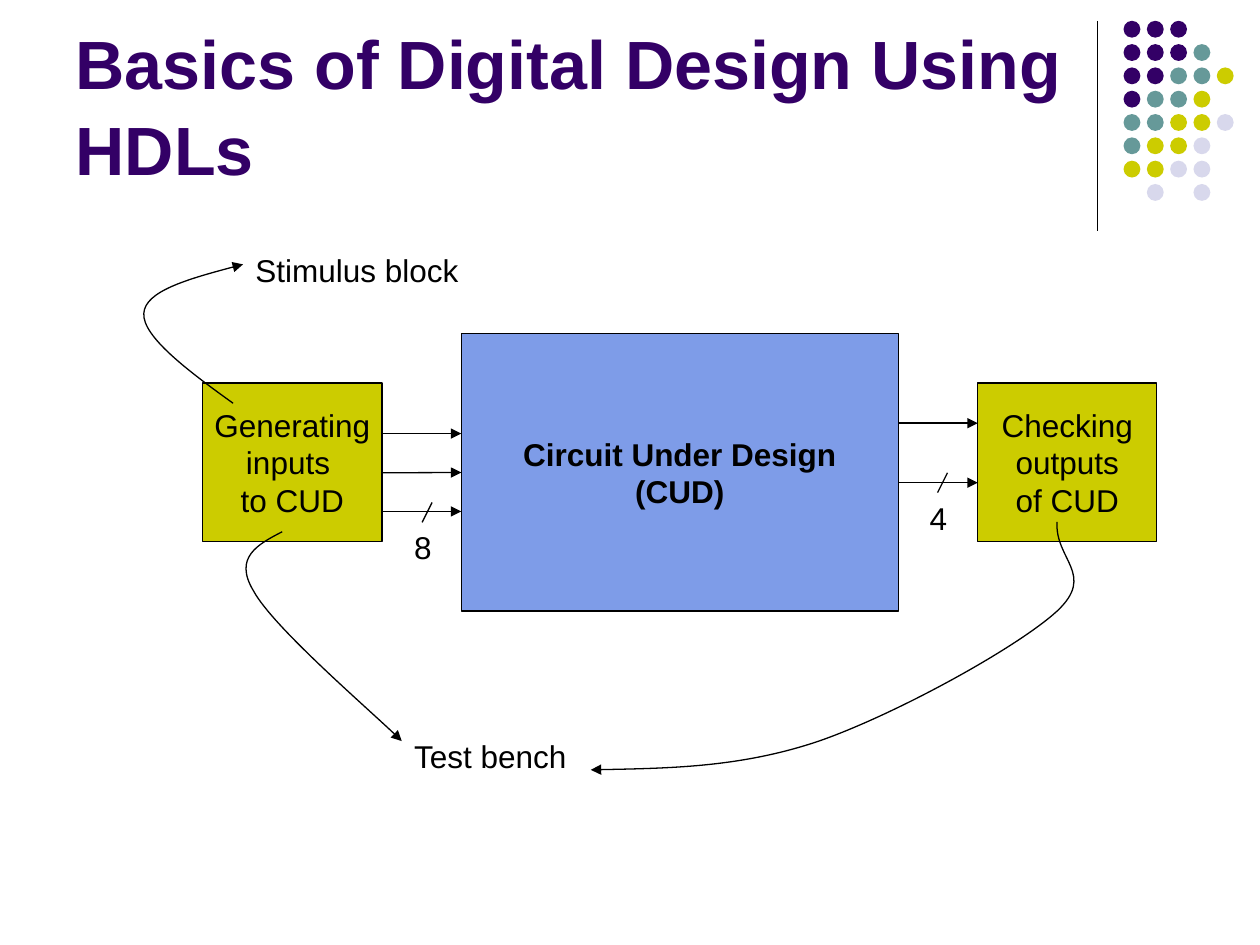
"""Build the slide on a circuit under design and its test bench."""
from dataclasses import dataclass

from lxml.etree import SubElement
from pptx import Presentation
from pptx.dml.color import RGBColor
from pptx.enum.shapes import MSO_CONNECTOR, MSO_SHAPE
from pptx.enum.text import MSO_ANCHOR, MSO_AUTO_SIZE, PP_ALIGN
from pptx.oxml.ns import qn
from pptx.shapes.autoshape import Shape
from pptx.shapes.connector import Connector
from pptx.slide import Slide
from pptx.text.text import TextFrame
from pptx.util import Cm, Pt


@dataclass(frozen=True)
class Theme:
    font: str = "Arial"
    title_size: float = 39
    body_size: float = 18
    line_width: float = 0.75
    black: str = "000000"
    purple: str = "330066"
    teal: str = "669999"
    olive: str = "CCCC00"
    lavender: str = "D8D8EC"
    blue: str = "7E9CE8"


@dataclass(frozen=True)
class Block:
    text: str
    left: float
    top: float
    width: float
    height: float
    fill: str
    bold: bool = False


@dataclass(frozen=True)
class Label:
    text: str
    left: float
    top: float
    width: float


@dataclass(frozen=True)
class Signals:
    start: float
    end: float
    heights: tuple[float, ...]


Point = tuple[float, float]
THEME = Theme()

STIMULUS = Block("Generating\ninputs \nto CUD", 4.09, 7.72, 3.61, 3.2, THEME.olive)
CIRCUIT = Block("Circuit Under Design\n(CUD)", 9.3, 6.73, 8.81, 5.59, THEME.blue, True)
CHECKER = Block("Checking\noutputs\nof CUD", 19.71, 7.72, 3.61, 3.2, THEME.olive)
INPUTS = Signals(7.7, 9.3, (8.74, 9.53, 10.31))
OUTPUTS = Signals(18.11, 19.71, (8.53, 9.73))
BUS_SLASHES: tuple[Point, ...] = ((8.71, 10.13), (19.1, 9.53))
LABELS = (
    Label("8", 8.1, 10.52, 0.79),
    Label("4", 18.49, 9.93, 0.79),
    Label("Test bench", 8.1, 14.73, 3.81),
    Label("Stimulus block", 4.9, 4.93, 4.8),
)
CURVES: tuple[tuple[Point, ...], ...] = (
    ((5.69, 10.72), (5.21, 10.97), (4.7, 11.23), (5.11, 11.91),
     (5.49, 12.62), (7.59, 14.43), (8.1, 14.94)),
    ((21.31, 10.52), (21.26, 11.28), (22.1, 11.58), (21.31, 12.32),
     (20.5, 13.06), (18.06, 14.4), (16.51, 14.94),
     (14.94, 15.47), (13.39, 15.49), (11.91, 15.52)),
    ((4.7, 8.13), (3.78, 7.47), (2.87, 6.78), (2.9, 6.32),
     (2.92, 5.87), (3.91, 5.59), (4.9, 5.33)),
)
DOT_ROWS = ("PPP", "PPPT", "PPTTO", "PTTO", "TTOOL", "TOOL", "OOLL", " L L")
DOT_COLORS = {"P": THEME.purple, "T": THEME.teal, "O": THEME.olive, "L": THEME.lavender}
DOT_LEFT, DOT_TOP, DOT_SIZE, DOT_PITCH = 22.65, 0.42, 0.34, 0.47


def write_text(frame: TextFrame, text: str, *, size: float = THEME.body_size,
               color: str = THEME.black, bold: bool = False,
               align: PP_ALIGN = PP_ALIGN.LEFT, anchor: MSO_ANCHOR = MSO_ANCHOR.TOP,
               wrap: bool = True, spacing: float = 1.0) -> None:
    """Fill a text frame with one formatted paragraph."""
    frame.word_wrap = wrap
    frame.auto_size = MSO_AUTO_SIZE.NONE
    frame.vertical_anchor = anchor
    paragraph = frame.paragraphs[0]
    paragraph.text = text
    paragraph.alignment = align
    paragraph.line_spacing = spacing
    for run in paragraph.runs:
        run.font.name = THEME.font
        run.font.size = Pt(size)
        run.font.bold = bold
        run.font.color.rgb = RGBColor.from_string(color)


def style_line(shape: Shape | Connector, arrow: bool = False) -> None:
    """Give a shape the thin black line, with an arrowhead if asked."""
    shape.line.color.rgb = RGBColor.from_string(THEME.black)
    shape.line.width = Pt(THEME.line_width)
    if arrow:
        SubElement(shape.element.spPr.get_or_add_ln(), qn("a:tailEnd"), type="triangle")


def draw_line(slide: Slide, start: Point, end: Point, arrow: bool = False) -> Connector:
    """Draw a straight connector between two points."""
    connector = slide.shapes.add_connector(
        MSO_CONNECTOR.STRAIGHT, *map(Cm, start), *map(Cm, end))
    style_line(connector, arrow)
    SubElement(connector.element.spPr, qn("a:effectLst"))
    return connector


def draw_signals(slide: Slide, signals: Signals) -> list[Connector]:
    """Draw the parallel arrows between two blocks."""
    return [draw_line(slide, (signals.start, height), (signals.end, height), arrow=True)
            for height in signals.heights]


def draw_curve(slide: Slide, points: tuple[Point, ...]) -> None:
    """Draw a Bezier arrow through a start point and triples of control points."""
    start, *controls = [(Cm(x), Cm(y)) for x, y in points]
    builder = slide.shapes.build_freeform(*start)
    builder.add_line_segments(controls, close=False)
    shape = builder.convert_to_shape()
    outline = shape.element.find(f".//{qn('a:path')}")
    segments = outline.findall(qn("a:lnTo"))
    for index in range(0, len(segments), 3):
        curve = SubElement(outline, qn("a:cubicBezTo"))
        for segment in segments[index:index + 3]:
            curve.append(segment[0])
            outline.remove(segment)
    shape.fill.background()
    shape.shadow.inherit = False
    style_line(shape, arrow=True)


def draw_block(slide: Slide, block: Block) -> Shape:
    """Draw a filled rectangle with centred text."""
    shape = slide.shapes.add_shape(
        MSO_SHAPE.RECTANGLE, Cm(block.left), Cm(block.top), Cm(block.width), Cm(block.height))
    shape.shadow.inherit = False
    shape.fill.solid()
    shape.fill.fore_color.rgb = RGBColor.from_string(block.fill)
    style_line(shape)
    write_text(shape.text_frame, block.text, bold=block.bold, align=PP_ALIGN.CENTER,
               anchor=MSO_ANCHOR.MIDDLE, wrap=False)
    return shape


def draw_label(slide: Slide, label: Label) -> None:
    """Draw a plain text label."""
    box = slide.shapes.add_textbox(Cm(label.left), Cm(label.top), Cm(label.width), Cm(1.02))
    write_text(box.text_frame, label.text)


def draw_dots(slide: Slide) -> None:
    """Draw the grid of coloured dots in the top right corner."""
    for row, pattern in enumerate(DOT_ROWS):
        for column, key in enumerate(pattern):
            if key in DOT_COLORS:
                dot = slide.shapes.add_shape(
                    MSO_SHAPE.OVAL, Cm(DOT_LEFT + column * DOT_PITCH),
                    Cm(DOT_TOP + row * DOT_PITCH), Cm(DOT_SIZE), Cm(DOT_SIZE))
                dot.shadow.inherit = False
                dot.fill.solid()
                dot.fill.fore_color.rgb = RGBColor.from_string(DOT_COLORS[key])
                dot.line.fill.background()


def draw_title(slide: Slide, text: str) -> None:
    """Place and fill the title placeholder."""
    title = slide.shapes.title
    title.left, title.top, title.width, title.height = map(Cm, (1.27, 0.33, 20.96, 3.61))
    write_text(title.text_frame, text, size=THEME.title_size, color=THEME.purple, bold=True,
               anchor=MSO_ANCHOR.BOTTOM, spacing=1.05)


def main() -> None:
    """Build and save the presentation."""
    presentation = Presentation()
    presentation.slide_width, presentation.slide_height = Cm(25.4), Cm(19.05)
    slide = presentation.slides.add_slide(presentation.slide_layouts.get_by_name("Title Only"))
    draw_line(slide, (22.12, 0.42), (22.12, 4.65))
    draw_dots(slide)
    draw_title(slide, "Basics of Digital Design Using HDLs")
    _, circuit, _ = [draw_block(slide, block) for block in (STIMULUS, CIRCUIT, CHECKER)]
    _, middle_input, _ = draw_signals(slide, INPUTS)
    middle_input.end_connect(circuit, 1)
    draw_signals(slide, OUTPUTS)
    for x, y in BUS_SLASHES:
        draw_line(slide, (x, y), (x - 0.2, y + 0.4))
    for points in CURVES:
        draw_curve(slide, points)
    for label in LABELS:
        draw_label(slide, label)
    presentation.save("out.pptx")


if __name__ == "__main__":
    main()
